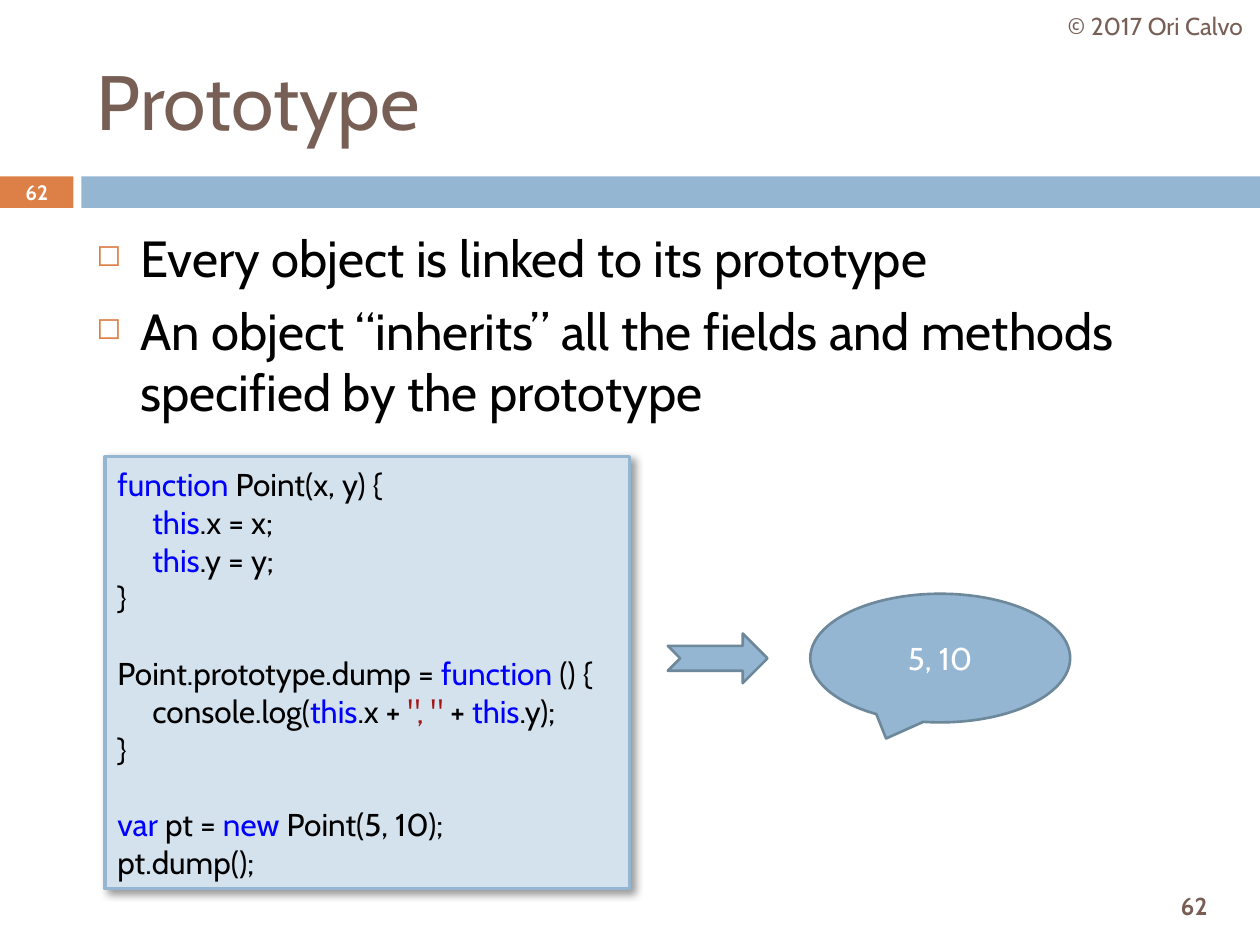
from dataclasses import dataclass

from lxml.etree import SubElement
from pptx import Presentation
from pptx.dml.color import RGBColor
from pptx.enum.shapes import MSO_SHAPE
from pptx.enum.text import MSO_ANCHOR, MSO_AUTO_SIZE, PP_ALIGN
from pptx.oxml.ns import qn
from pptx.util import Pt


@dataclass(frozen=True)
class Theme:
    """Colours, font and type sizes of the slide."""
    font: str = "Cabin"
    brown: str = "775F55"
    orange: str = "DD8047"
    blue: str = "94B6D2"
    pale_blue: str = "D4E2ED"
    outline: str = "6D879B"
    black: str = "000000"
    white: str = "FFFFFF"
    keyword: str = "0000FF"
    literal: str = "A31515"
    title_size: float = 44
    body_size: float = 29
    code_size: float = 18
    note_size: float = 14
    badge_size: float = 11.9


class SlideBuilder:
    """Draws styled elements on the current slide."""

    def __init__(self, slide, theme):
        """Keep the slide and its theme."""
        self.slide = slide
        self.theme = theme

    def style(self, paragraph, size, color, bold=False, align=PP_ALIGN.LEFT):
        """Set the font and alignment of a paragraph."""
        paragraph.alignment = align
        font = paragraph.font
        font.name, font.size, font.bold = self.theme.font, Pt(size), bold
        font.color.rgb = RGBColor.from_string(color)

    def title(self, text, box):
        """Fill and place the title placeholder."""
        shape = self.slide.shapes.title
        shape.left, shape.top, shape.width, shape.height = map(Pt, box)
        frame = shape.text_frame
        frame.text = text
        frame.auto_size = MSO_AUTO_SIZE.NONE
        frame.vertical_anchor = MSO_ANCHOR.MIDDLE
        self.style(frame.paragraphs[0], self.theme.title_size, self.theme.brown)

    def shape(self, kind, box, fill, line=None, line_width=1.5):
        """Add a flat preset shape."""
        shape = self.slide.shapes.add_shape(kind, *map(Pt, box))
        shape.shadow.inherit = False
        shape.fill.solid()
        shape.fill.fore_color.rgb = RGBColor.from_string(fill)
        if line:
            shape.line.color.rgb = RGBColor.from_string(line)
            shape.line.width = Pt(line_width)
        else:
            shape.line.fill.background()
        return shape

    def caption(self, shape, text, size, color, bold=False):
        """Write one centred line into a shape."""
        frame = shape.text_frame
        frame.word_wrap = True
        frame.vertical_anchor = MSO_ANCHOR.MIDDLE
        frame.text = text
        self.style(frame.paragraphs[0], size, color, bold, PP_ALIGN.CENTER)

    def label(self, text, box, size, color, bold=False):
        """Add a centred text box."""
        self.caption(self.slide.shapes.add_textbox(*map(Pt, box)), text, size, color, bold)

    def bullets(self, texts, box):
        """Add a bulleted list."""
        frame = self.slide.shapes.add_textbox(*map(Pt, box)).text_frame
        frame.word_wrap = True
        frame.text = "\n".join(texts)
        for paragraph in frame.paragraphs:
            paragraph.space_before = Pt(7)
            properties = paragraph._p.get_or_add_pPr()
            properties.set("marL", str(Pt(25.2)))
            properties.set("indent", str(-Pt(25.2)))
            color = SubElement(properties, qn("a:buClr"))
            SubElement(color, qn("a:srgbClr"), val=self.theme.orange)
            SubElement(properties, qn("a:buSzPct"), val="60000")
            SubElement(properties, qn("a:buChar"), char="◻")
            self.style(paragraph, self.theme.body_size, self.theme.black)

    def shadow(self, shape, blur, distance, angle, opacity):
        """Give a shape a soft outer shadow."""
        effects = shape._element.spPr.find(qn("a:effectLst"))
        outer = SubElement(effects, qn("a:outerShdw"), blurRad=str(Pt(blur)),
                           dist=str(Pt(distance)), dir=str(angle * 60000),
                           algn="tl", rotWithShape="0")
        color = SubElement(outer, qn("a:srgbClr"), val=self.theme.black)
        SubElement(color, qn("a:alpha"), val=str(opacity * 1000))

    def code(self, blocks, colors, box):
        """Add a code panel; each line is an indent level and its tokens."""
        theme = self.theme
        panel = self.shape(MSO_SHAPE.RECTANGLE, box, theme.pale_blue, theme.blue, 1.75)
        self.shadow(panel, blur=5, distance=2.9, angle=45, opacity=40)
        frame = panel.text_frame
        frame.word_wrap = True
        frame.vertical_anchor = MSO_ANCHOR.MIDDLE
        frame.auto_size = MSO_AUTO_SIZE.SHAPE_TO_FIT_TEXT
        paragraph = frame.paragraphs[0]
        for block_index, block in enumerate(blocks):
            for line_index, (level, *tokens) in enumerate(block):
                if block_index or line_index:
                    paragraph = frame.add_paragraph()
                if block_index and not line_index:
                    paragraph.space_before = Pt(theme.code_size * 1.2)
                properties = paragraph._p.get_or_add_pPr()
                properties.set("marL", str(Pt(20 * level)))
                self.style(paragraph, theme.code_size, theme.black)
                for token in tokens:
                    run = paragraph.add_run()
                    run.text = token
                    if token in colors:
                        run.font.color.rgb = RGBColor.from_string(colors[token])


def main():
    """Build the prototype slide."""
    theme = Theme()
    presentation = Presentation()
    presentation.slide_width, presentation.slide_height = Pt(720), Pt(540)
    slide = presentation.slides.add_slide(presentation.slide_layouts[5])
    builder = SlideBuilder(slide, theme)

    builder.title("Prototype", (48, 18, 642, 78))
    number_badge = builder.shape(MSO_SHAPE.RECTANGLE, (0, 100.8, 42, 18), theme.orange)
    builder.caption(number_badge, "62", theme.badge_size, theme.white, bold=True)
    builder.shape(MSO_SHAPE.RECTANGLE, (46.5, 100.8, 673.5, 18), theme.blue)
    builder.label("62", (649.4, 502.5, 66, 30), theme.note_size, theme.brown, bold=True)
    builder.label("© 2017 Ori Calvo", (600.5, 0, 119.5, 29), theme.note_size, theme.brown)
    builder.bullets(
        ["Every object is linked to its prototype",
         "An object “inherits” all the fields and methods specified by the prototype"],
        (48, 126, 642, 354))

    colors = dict.fromkeys(("function", "this", "var", "new"), theme.keyword)
    colors['", "'] = theme.literal
    blocks = [
        [(0, "function", " Point(x, y) {"),
         (1, "this", ".x = x;"),
         (1, "this", ".y = y;"),
         (0, "}")],
        [(0, "Point.prototype.dump = ", "function", " () {"),
         (1, "console.log(", "this", ".x + ", '", "', " + ", "this", ".y);"),
         (0, "}")],
        [(0, "var", " pt = ", "new", " Point(5, 10);"),
         (0, "pt.dump();")],
    ]
    builder.code(blocks, colors, (60, 261, 300, 247))
    builder.shape(MSO_SHAPE.NOTCHED_RIGHT_ARROW, (381.6, 362, 57, 28.4), theme.blue, theme.outline)
    output = builder.shape(MSO_SHAPE.OVAL_CALLOUT, (463, 339.3, 148.5, 73.5), theme.blue, theme.outline)
    builder.caption(output, "5, 10", theme.code_size, theme.white)

    presentation.save("out.pptx")


main()
